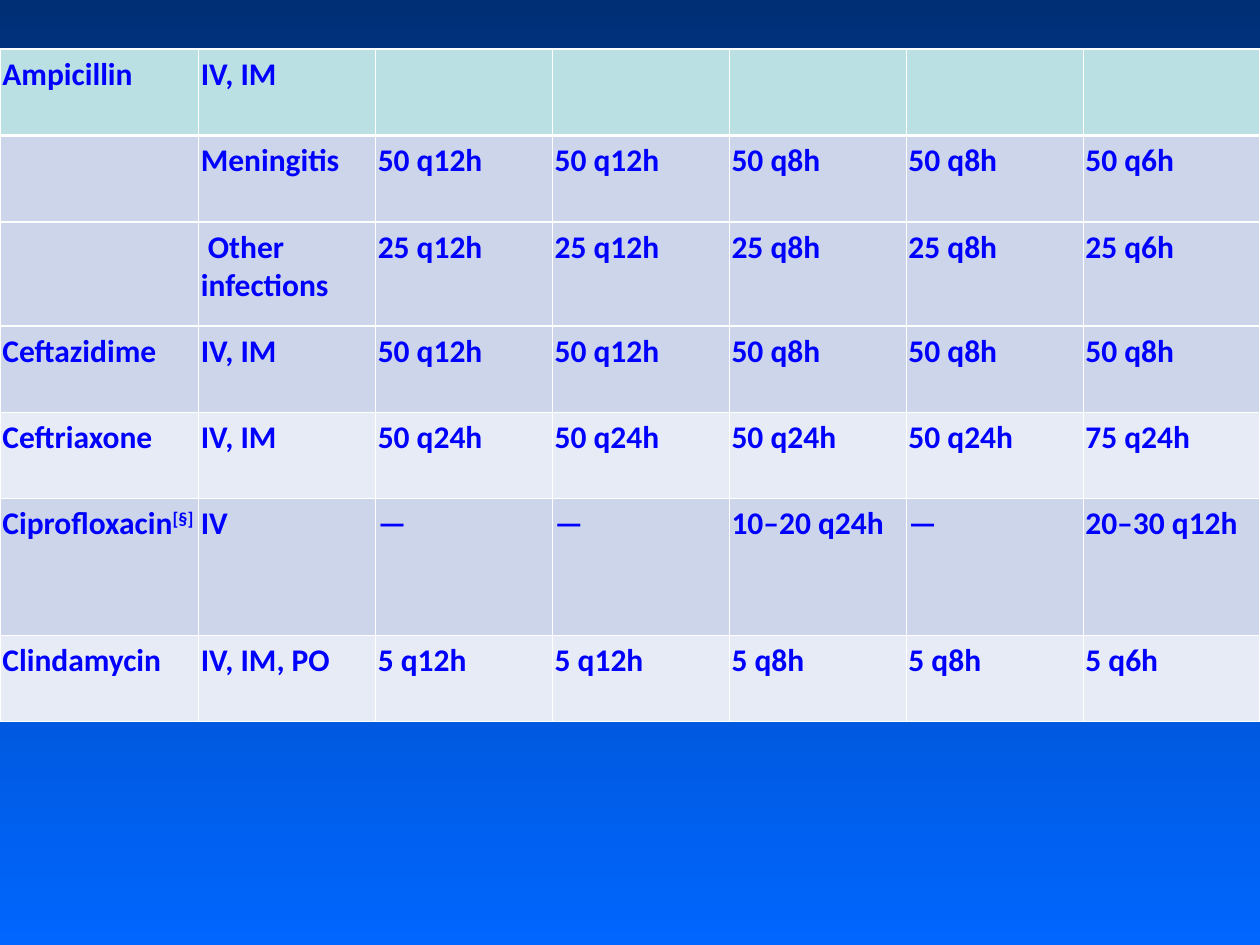
from lxml import etree
from pptx import Presentation
from pptx.dml.color import RGBColor
from pptx.oxml.ns import qn
from pptx.util import Pt

PAGE_WIDTH, PAGE_HEIGHT = 720, 540
TABLE_BOX = (0, 28, 720, 384.3)
COLUMN_WEIGHTS = [113.4] + [101.1] * 6
ROW_WEIGHTS = [49.4, 49.4, 59.4, 49.4, 49.4, 77.9, 49.4]
HEADER_FILL, DARK_BAND, LIGHT_BAND = "BBE0E3", "CCD5EA", "E7EBF5"
ROW_FILLS = [HEADER_FILL, DARK_BAND, DARK_BAND, DARK_BAND, LIGHT_BAND, DARK_BAND, LIGHT_BAND]
THICK_LINE, THIN_LINE = 1.47, 0.45
RULE_WIDTHS = [THICK_LINE] * 4 + [THIN_LINE] * 4
FOOTNOTE_MARK = "[§]"

DOSES = [
    ["Ampicillin", "IV, IM", "", "", "", "", ""],
    ["", "Meningitis", "50 q12h", "50 q12h", "50 q8h", "50 q8h", "50 q6h"],
    ["", " Other infections", "25 q12h", "25 q12h", "25 q8h", "25 q8h", "25 q6h"],
    ["Ceftazidime", "IV, IM", "50 q12h", "50 q12h", "50 q8h", "50 q8h", "50 q8h"],
    ["Ceftriaxone", "IV, IM", "50 q24h", "50 q24h", "50 q24h", "50 q24h", "75 q24h"],
    ["Ciprofloxacin[§]", "IV", "—", "—", "10–20 q24h", "—", "20–30 q12h"],
    ["Clindamycin", "IV, IM, PO", "5 q12h", "5 q12h", "5 q8h", "5 q8h", "5 q6h"],
]


def color(value):
    return RGBColor.from_string(value)


def paint_background(page):
    fill = page.background.fill
    fill.gradient()
    fill.gradient_angle = 270
    for stop, value in zip(fill.gradient_stops, ["002F76", "0066FF"]):
        stop.color.rgb = color(value)


def add_borders(cell, top, bottom):
    properties = cell._tc.get_or_add_tcPr()
    widths = {"lnL": THIN_LINE, "lnR": THIN_LINE, "lnT": top, "lnB": bottom}
    for side, width in widths.items():
        line = etree.SubElement(properties, qn(f"a:{side}"), w=str(int(Pt(width))))
        fill = etree.SubElement(line, qn("a:solidFill"))
        etree.SubElement(fill, qn("a:srgbClr"), val="FFFFFF")


def add_span(para, text, raised=False):
    span = para.add_run()
    span.text = text
    span.font.name = "Calibri"
    span.font.size = Pt(18)
    span.font.bold = True
    span.font.color.rgb = color("0000FF")
    if raised:
        span._r.get_or_add_rPr().set("baseline", "30000")


def fill_cell(cell, text, fill, top, bottom):
    cell.margin_left = cell.margin_right = Pt(1.4)
    cell.margin_top = cell.margin_bottom = Pt(3.6)
    add_borders(cell, top, bottom)
    cell.fill.solid()
    cell.fill.fore_color.rgb = color(fill)
    para = cell.text_frame.paragraphs[0]
    name, mark, _ = text.partition(FOOTNOTE_MARK)
    if name:
        add_span(para, name)
    if mark:
        add_span(para, mark, raised=True)


def add_dose_table(page, box):
    left, top, width, height = box
    frame = page.shapes.add_table(
        len(DOSES), len(COLUMN_WEIGHTS), Pt(left), Pt(top), Pt(width), Pt(height)
    )
    table = frame.table
    for column, weight in zip(table.columns, COLUMN_WEIGHTS):
        column.width = Pt(width * weight / sum(COLUMN_WEIGHTS))
    for row, weight in zip(table.rows, ROW_WEIGHTS):
        row.height = Pt(height * weight / sum(ROW_WEIGHTS))
    for index, (row, texts) in enumerate(zip(table.rows, DOSES)):
        for cell, text in zip(row.cells, texts):
            fill_cell(cell, text, ROW_FILLS[index], RULE_WIDTHS[index], RULE_WIDTHS[index + 1])


def main():
    deck = Presentation()
    deck.slide_width, deck.slide_height = Pt(PAGE_WIDTH), Pt(PAGE_HEIGHT)
    page = deck.slides.add_slide(deck.slide_layouts[6])
    paint_background(page)
    add_dose_table(page, TABLE_BOX)
    deck.save("out.pptx")


if __name__ == "__main__":
    main()
